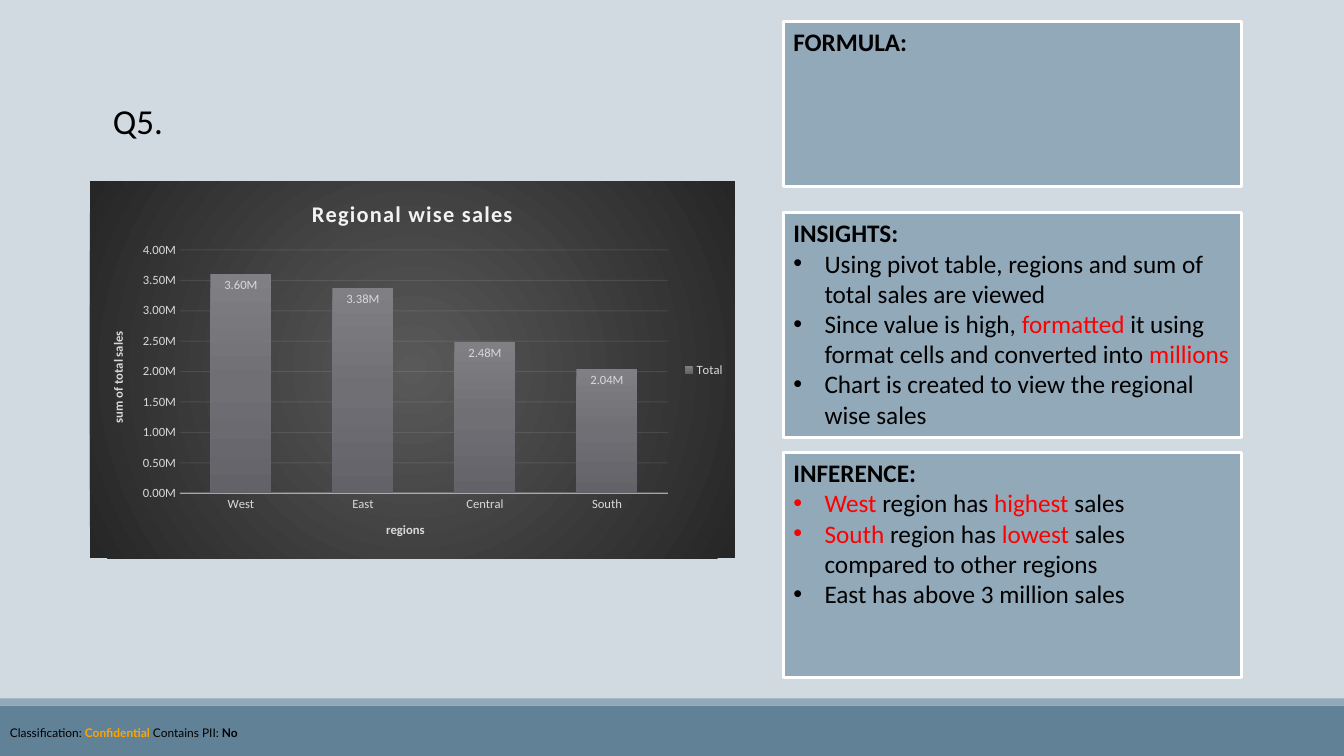
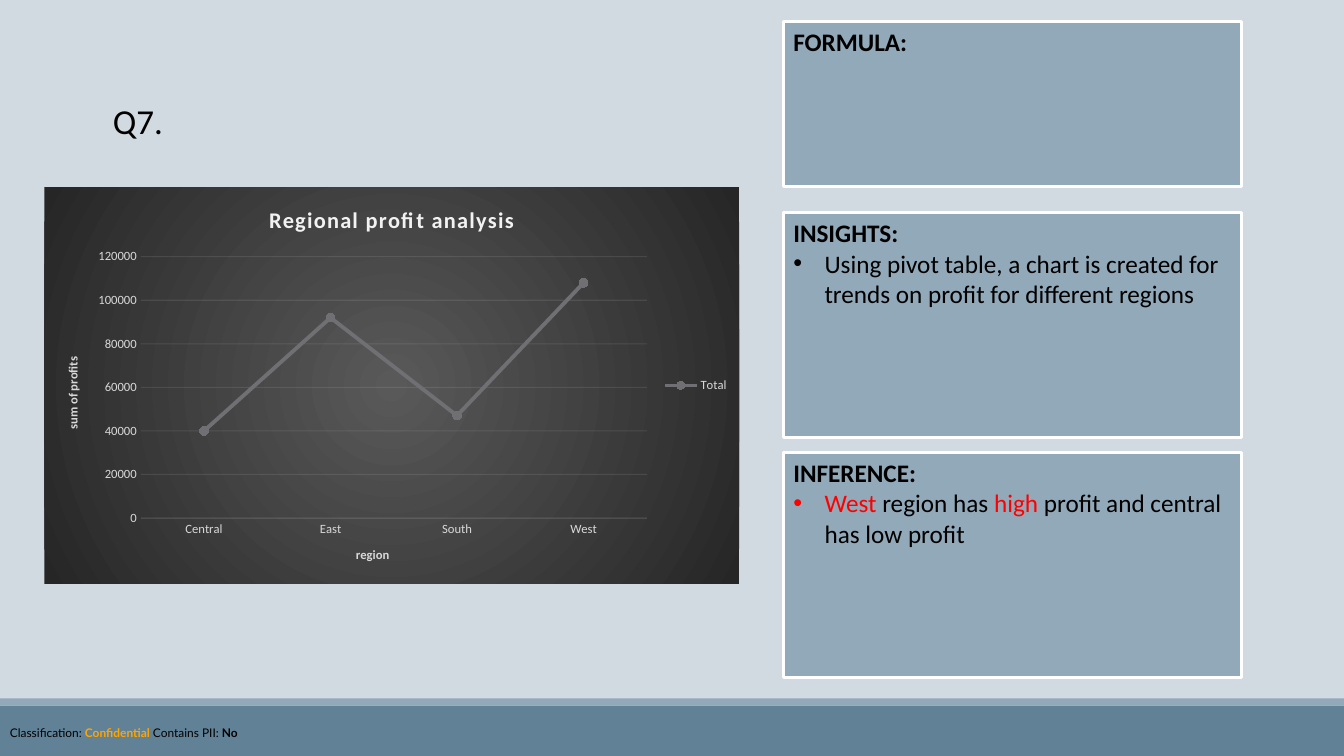
from pptx import Presentation
from pptx.chart.data import CategoryChartData
from pptx.dml.color import RGBColor
from pptx.enum.chart import (
    XL_CHART_TYPE as ChartType,
    XL_LABEL_POSITION as LabelPosition,
    XL_LEGEND_POSITION as LegendPosition,
    XL_MARKER_STYLE as MarkerStyle,
    XL_TICK_MARK as TickMark,
)
from pptx.enum.shapes import MSO_SHAPE as Preset
from pptx.enum.text import MSO_ANCHOR as Anchor, MSO_AUTO_SIZE as AutoSize, PP_ALIGN as Align
from pptx.oxml import parse_xml
from pptx.oxml.ns import nsdecls, qn
from pptx.util import Inches, Pt

BACKGROUND = RGBColor(0xD1, 0xD9, 0xE1)
BAND = RGBColor(0x61, 0x81, 0x97)
PANEL = RGBColor(0x92, 0xA9, 0xB9)
BLACK = RGBColor(0x00, 0x00, 0x00)
WHITE = RGBColor(0xFF, 0xFF, 0xFF)
RED = RGBColor(0xFF, 0x00, 0x00)
ORANGE = RGBColor(0xFF, 0xA5, 0x00)
CHART_TITLE = RGBColor(0xF2, 0xF2, 0xF2)
CHART_TEXT = RGBColor(0xD9, 0xD9, 0xD9)
CHART_CENTRE = RGBColor(0x59, 0x59, 0x59)
CHART_EDGE = RGBColor(0x26, 0x26, 0x26)
SERIES = RGBColor(0x6F, 0x6F, 0x74)
SERIES_LIGHT = RGBColor(0x80, 0x80, 0x84)
SERIES_DARK = RGBColor(0x62, 0x62, 0x68)

BODY_FONT = "Calibri"
FOOTER_FONT = "Lato"
WIDTH, HEIGHT = 13.33, 7.5
PANEL_LEFT, PANEL_WIDTH = 7.77, 4.54
PANEL_ROWS = {"FORMULA:": (0.21, 1.64), "INSIGHTS:": (2.11, 2.23), "INFERENCE:": (4.49, 2.23)}
INDENT = Inches(0.31)
MILLIONS = '0.00,,"M"'
RADIAL = ('<a:path path="circle"><a:fillToRect l="50000" t="50000" '
          'r="50000" b="50000"/></a:path>')
DOWNWARD = '<a:lin ang="5400000" scaled="0"/>'

# In panel text, words between asterisks are red.
SLIDES = [
    {
        "title": "Q5.",
        "panels": {
            "FORMULA:": [],
            "INSIGHTS:": [
                "Using pivot table, regions and sum of total sales are viewed",
                "Since value is high, *formatted *it using format cells and converted into *millions*",
                "Chart is created to view the regional wise sales",
            ],
            "INFERENCE:": [
                "*West* region has* highest *sales",
                "*South* region has *lowest* sales compared to other regions",
                "East has above 3 million sales",
            ],
        },
        "chart": {
            "kind": ChartType.COLUMN_CLUSTERED,
            "box": (0.89, 1.8, 6.4, 3.74),
            "title": "Regional wise sales",
            "axis_titles": ("regions", "sum of total sales"),
            "sums": {"West": 3600000, "East": 3380000, "Central": 2480000, "South": 2040000},
            "scale": (4000000, 500000),
            "number_format": MILLIONS,
            "base_line": (1, 54),
        },
    },
    {
        "title": "Q7.",
        "panels": {
            "FORMULA:": [],
            "INSIGHTS:": [
                "Using pivot table, a chart is created for trends on profit for different regions",
            ],
            "INFERENCE:": ["*West* region has *high* profit and central has low profit"],
        },
        "chart": {
            "kind": ChartType.LINE_MARKERS,
            "box": (0.44, 1.86, 6.89, 3.93),
            "title": "Regional profit analysis",
            "axis_titles": ("region", "sum of profits"),
            "sums": {"Central": 40000, "East": 92000, "South": 47000, "West": 108000},
            "scale": (120000, 20000),
            "number_format": "General",
            "base_line": (0.75, 10),
        },
    },
]


def set_values(target, values):
    for name, value in values.items():
        setattr(target, name, value)


def style_font(font, size, color, bold=False, name=BODY_FONT):
    set_values(font, {"size": Pt(size), "bold": bold, "name": name})
    font.color.rgb = color


def add_run(paragraph, text, *style, **options):
    run = paragraph.add_run()
    run.text = text
    style_font(run.font, *style, **options)


def add_rectangle(slide, box, color):
    shape = slide.shapes.add_shape(Preset.RECTANGLE, *map(Inches, box))
    shape.shadow.inherit = False
    shape.fill.solid()
    shape.fill.fore_color.rgb = color
    shape.line.fill.background()
    return shape


def move_to_master(shape, master):
    master.shapes.element.append(shape.element)


def build_master(presentation, slide):
    """Give the master its background, bands and classification line."""
    master = presentation.slide_master
    master.background.fill.solid()
    master.background.fill.fore_color.rgb = BACKGROUND
    footer = slide.shapes.add_textbox(*map(Inches, (0, 7.15, WIDTH, 0.24)))
    set_values(footer.text_frame, {"word_wrap": True, "auto_size": AutoSize.SHAPE_TO_FIT_TEXT})
    paragraph = footer.text_frame.paragraphs[0]
    for text, color, bold in [
        ("Classification: ", BLACK, False),
        ("Confidential", ORANGE, True),
        (" Contains PII: ", BLACK, False),
        ("No", BLACK, True),
    ]:
        add_run(paragraph, text, 8.5, color, bold, name=FOOTER_FONT)
    for shape in (
        add_rectangle(slide, (0, 7, WIDTH, 0.5), BAND),
        add_rectangle(slide, (0, 6.93, WIDTH, 0.07), PANEL),
        footer,
    ):
        move_to_master(shape, master)


def set_title(slide, text):
    title = slide.shapes.title
    left, top, width, height = map(Inches, (1.02, 0.94, 0.7, 0.52))
    set_values(title, {"left": left, "top": top, "width": width, "height": height})
    set_values(title.text_frame, {
        "word_wrap": False, "auto_size": AutoSize.NONE, "vertical_anchor": Anchor.TOP,
    })
    paragraph = title.text_frame.paragraphs[0]
    paragraph.alignment = Align.LEFT
    add_run(paragraph, text, 25, BLACK)


def add_bullet(paragraph, text):
    properties = paragraph._p.get_or_add_pPr()
    properties.set("marL", str(INDENT))
    properties.set("indent", str(-INDENT))
    for xml in ('<a:buFont %s typeface="Arial"/>', '<a:buChar %s char="•"/>'):
        properties.append(parse_xml(xml % nsdecls("a")))
    for index, part in enumerate(text.split("*")):
        if part:
            add_run(paragraph, part, 18, RED if index % 2 else BLACK)


def add_panel(slide, heading, bullets):
    top, height = PANEL_ROWS[heading]
    panel = add_rectangle(slide, (PANEL_LEFT, top, PANEL_WIDTH, height), PANEL)
    panel.line.color.rgb = WHITE
    panel.line.width = Pt(2)
    frame = panel.text_frame
    set_values(frame, {"word_wrap": True, "vertical_anchor": Anchor.TOP})
    add_run(frame.paragraphs[0], heading, 18, BLACK, True)
    for bullet in bullets:
        add_bullet(frame.add_paragraph(), bullet)
    for paragraph in frame.paragraphs:
        paragraph.alignment = Align.LEFT


def gradient(colors, direction):
    """Return a gradient fill with evenly spaced stops."""
    step = 100000 // (len(colors) - 1)
    stops = "".join(
        f'<a:gs pos="{index * step}"><a:srgbClr val="{color}"/></a:gs>'
        for index, color in enumerate(colors)
    )
    return parse_xml(
        f'<a:gradFill {nsdecls("a")} rotWithShape="1"><a:gsLst>{stops}</a:gsLst>'
        f"{direction}</a:gradFill>"
    )


def style_line(chart_format, width, opacity):
    """Draw a pale line whose opacity is a percentage."""
    chart_format.line.width = Pt(width)
    chart_format.line.color.rgb = CHART_TITLE
    properties = chart_format.element.find(qn("c:spPr"))
    for color in properties.iter(qn("a:srgbClr")):
        color.append(parse_xml(f'<a:alpha {nsdecls("a")} val="{opacity * 1000}"/>'))


def style_axes(chart, details):
    category_axis, value_axis = chart.category_axis, chart.value_axis
    for axis, text in zip((category_axis, value_axis), details["axis_titles"]):
        set_values(axis, {"major_tick_mark": TickMark.NONE, "minor_tick_mark": TickMark.NONE})
        style_font(axis.tick_labels.font, 9, CHART_TEXT)
        add_run(axis.axis_title.text_frame.paragraphs[0], text, 9, CHART_TEXT, True)
    for body in value_axis.axis_title.element.iter(qn("a:bodyPr")):
        body.set("rot", "-5400000")
        body.set("vert", "horz")
    style_line(category_axis.format, *details["base_line"])
    value_axis.format.line.fill.background()
    maximum, step = details["scale"]
    set_values(value_axis, {
        "minimum_scale": 0, "maximum_scale": maximum, "major_unit": step,
        "has_major_gridlines": True,
    })
    style_line(value_axis.major_gridlines.format, 0.75, 10)
    set_values(value_axis.tick_labels, {
        "number_format": details["number_format"], "number_format_is_linked": False,
    })


def style_columns(plot):
    set_values(plot, {"gap_width": 100, "overlap": -24, "vary_by_categories": False})
    series = plot.series[0]
    series.format.fill.solid()
    properties = series.format.element.find(qn("c:spPr"))
    properties.replace(
        properties.find(qn("a:solidFill")),
        gradient((SERIES_LIGHT, SERIES, SERIES_DARK), DOWNWARD),
    )
    labels = series.data_labels
    set_values(labels, {
        "show_value": True, "position": LabelPosition.INSIDE_END,
        "number_format": MILLIONS, "number_format_is_linked": False,
    })
    style_font(labels.font, 9, CHART_TEXT)


def style_trend(plot):
    plot.vary_by_categories = False
    series = plot.series[0]
    series.smooth = False
    series.format.line.width = Pt(2.75)
    series.format.line.color.rgb = SERIES
    marker = series.marker
    set_values(marker, {"style": MarkerStyle.CIRCLE, "size": 6})
    marker.format.fill.solid()
    marker.format.fill.fore_color.rgb = SERIES
    marker.format.line.color.rgb = SERIES


def add_sums_chart(slide, details):
    data = CategoryChartData()
    data.categories = list(details["sums"])
    data.add_series("Total", list(details["sums"].values()))
    box = map(Inches, details["box"])
    chart = slide.shapes.add_chart(details["kind"], *box, data).chart
    style_font(chart.font, 10, BLACK)
    background = parse_xml(f'<c:spPr {nsdecls("c", "a")}><a:ln><a:noFill/></a:ln></c:spPr>')
    background.insert(0, gradient((CHART_CENTRE, CHART_EDGE), RADIAL))
    chart.element.find(qn("c:chart")).addnext(background)
    set_values(chart, {"has_title": True, "has_legend": True})
    add_run(chart.chart_title.text_frame.paragraphs[0], details["title"], 16, CHART_TITLE, True)
    for properties in chart.chart_title.element.iter(qn("a:rPr")):
        properties.set("spc", "100")
    set_values(chart.legend, {"position": LegendPosition.RIGHT, "include_in_layout": False})
    style_font(chart.legend.font, 9, CHART_TEXT)
    style_axes(chart, details)
    style_plot = style_columns if details["kind"] == ChartType.COLUMN_CLUSTERED else style_trend
    style_plot(chart.plots[0])


def main():
    presentation = Presentation()
    set_values(presentation, {"slide_width": Inches(WIDTH), "slide_height": Inches(HEIGHT)})
    title_only = presentation.slide_layouts.get_by_name("Title Only")
    for index, content in enumerate(SLIDES):
        slide = presentation.slides.add_slide(title_only)
        if index == 0:
            build_master(presentation, slide)
        set_title(slide, content["title"])
        for heading, bullets in content["panels"].items():
            add_panel(slide, heading, bullets)
        add_sums_chart(slide, content["chart"])
    presentation.save("out.pptx")


if __name__ == "__main__":
    main()
